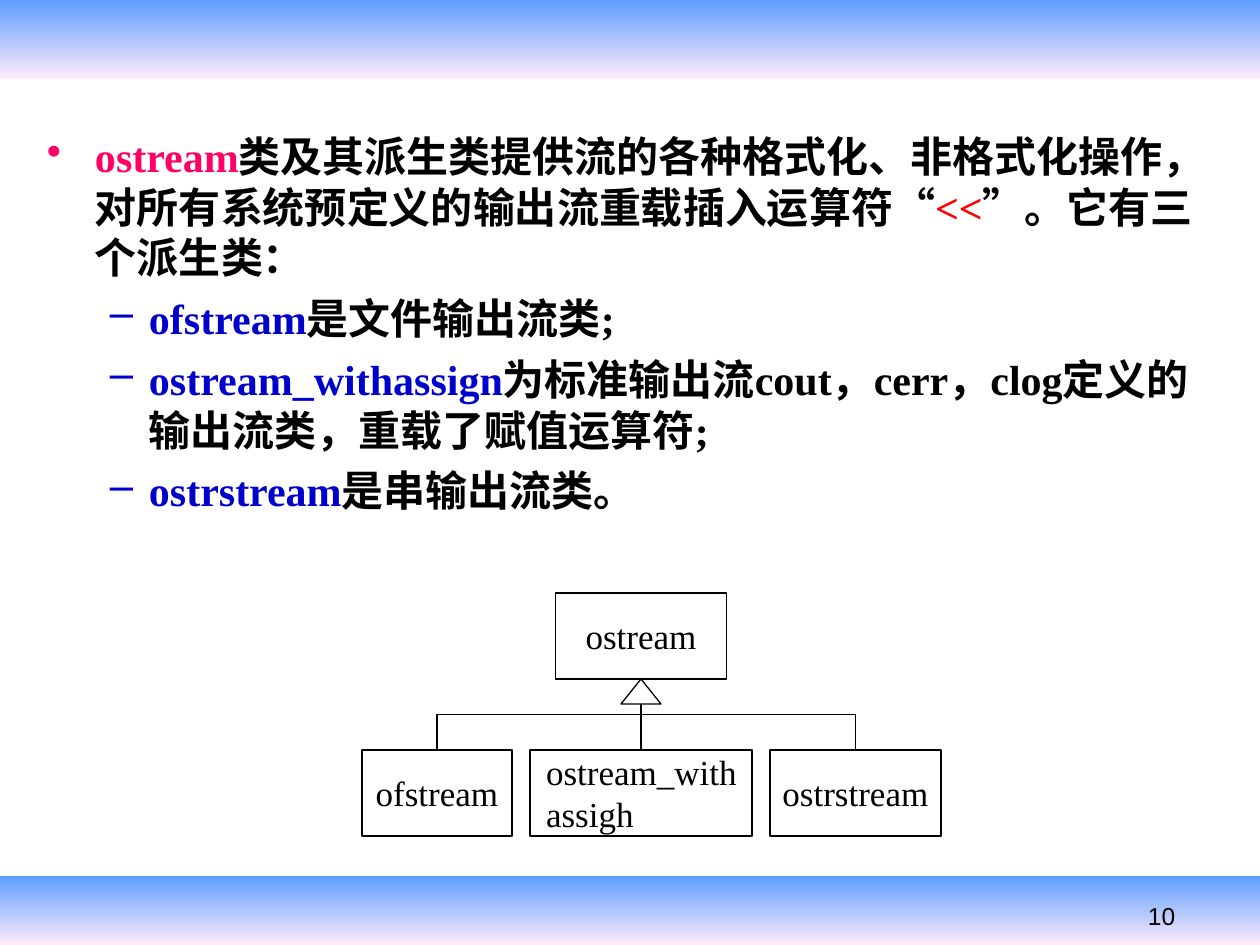
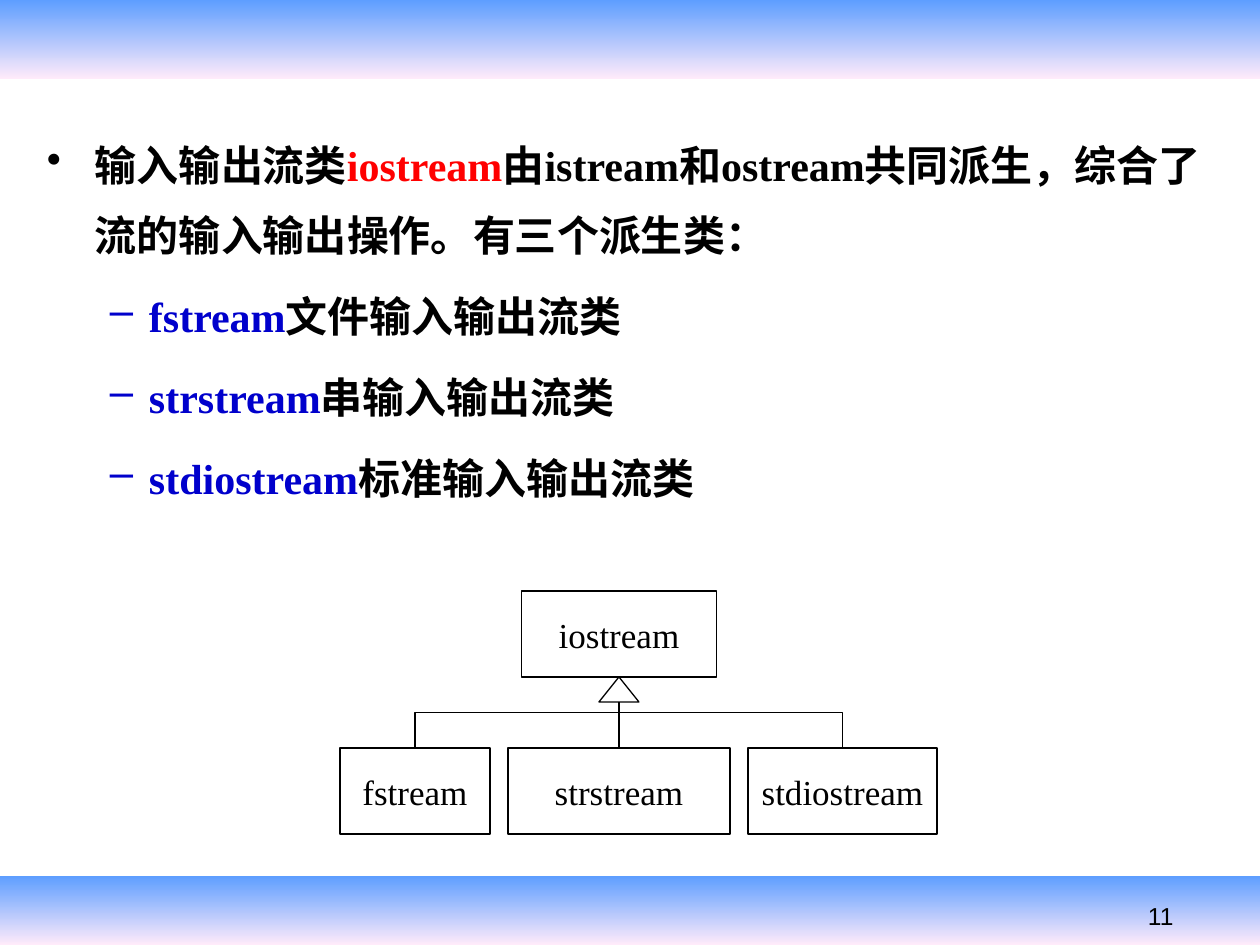
from lxml import etree
from pptx import Presentation
from pptx.dml.color import RGBColor
from pptx.enum.shapes import MSO_CONNECTOR, MSO_SHAPE
from pptx.enum.text import MSO_ANCHOR, PP_ALIGN
from pptx.oxml.ns import qn
from pptx.util import Emu, Pt

RECTANGLE = MSO_SHAPE.RECTANGLE
TRIANGLE = MSO_SHAPE.ISOSCELES_TRIANGLE
ELBOW = MSO_CONNECTOR.ELBOW
LEFT, CENTER = PP_ALIGN.LEFT, PP_ALIGN.CENTER
MIDDLE = MSO_ANCHOR.MIDDLE

PAGE_WIDTH, PAGE_HEIGHT = 1260, 945
SERIF, SANS = "Times New Roman", "Arial"
BLACK, WHITE, RED = "000000", "FFFFFF", "FF0000"
PINK, BLUE = "FF0066", "0000CC"
BAND_TOP, BAND_BOTTOM = "5E9EFF", "FFEBFA"
CLASS_HEIGHT, ROW_STEP, CLASS_GAP = 86, 157, 18


def px(length):
    return Emu(round(length * 914400 / 126))


def color(value):
    return RGBColor.from_string(value)


def add_span(para, text, font=SERIF, size=24, fill=BLACK, bold=False):
    span = para.add_run()
    span.text = text
    span.font.name = font
    span.font.size = Pt(size)
    span.font.bold = bold
    span.font.color.rgb = color(fill)


def set_margins(frame, left=13, right=13):
    frame.word_wrap = True
    frame.margin_left, frame.margin_right = px(left), px(right)
    frame.margin_top = frame.margin_bottom = px(6)


def add_box(page, kind, left, top, width, height):
    box = page.shapes.add_shape(kind, px(left), px(top), px(width), px(height))
    box.shadow.inherit = False
    box.fill.solid()
    box.fill.fore_color.rgb = color(WHITE)
    box.line.color.rgb = color(BLACK)
    box.line.width = Pt(0.75)
    return box


def add_text_frame(page, left, top, width, height):
    frame = page.shapes.add_textbox(px(left), px(top), px(width), px(height)).text_frame
    set_margins(frame)
    return frame


def add_band(page, top, height):
    band = add_box(page, RECTANGLE, 0, top, PAGE_WIDTH, height)
    band.line.fill.background()
    band.fill.gradient()
    band.fill.gradient_angle = 270
    for stop, value in zip(band.fill.gradient_stops, (BAND_TOP, BAND_BOTTOM)):
        stop.color.rgb = color(value)


def add_page(deck, number):
    page = deck.slides.add_slide(deck.slide_layouts[6])
    add_band(page, 0, 79)
    add_band(page, 876, 69)
    frame = add_text_frame(page, 1135, 895, 125, 42)
    add_span(frame.paragraphs[0], number, font=SANS, size=14)
    return page


def add_bullet(para, symbol, fill, left, hanging):
    properties = para._p.get_or_add_pPr()
    properties.set("marL", str(px(left)))
    properties.set("indent", str(-px(hanging)))
    tint = etree.SubElement(properties, qn("a:buClr"))
    etree.SubElement(tint, qn("a:srgbClr")).set("val", fill)
    etree.SubElement(properties, qn("a:buChar")).set("char", symbol)


def add_points(page, top, intro, derived, bullet_fill, line_spacing):
    frame = add_text_frame(page, 34, top, 1191, 404)
    para = frame.paragraphs[0]
    add_bullet(para, "•", bullet_fill, 48, 48)
    para.line_spacing = line_spacing
    for text, style in intro:
        add_span(para, text, bold=True, **style)
    for name, meaning in derived:
        para = frame.add_paragraph()
        para.level = 1
        add_bullet(para, "–", BLUE, 102, 39)
        para.space_before = Pt(6)
        para.line_spacing = line_spacing
        add_span(para, name, fill=BLUE, bold=True)
        add_span(para, meaning, bold=True)


def add_class(page, name, left, top, width):
    box = add_box(page, RECTANGLE, left, top, width, CLASS_HEIGHT)
    frame = box.text_frame
    wraps = " " in name
    set_margins(frame, left=16 if wraps else 6, right=6)
    frame.vertical_anchor = MIDDLE
    frame.paragraphs[0].alignment = LEFT if wraps else CENTER
    add_span(frame.paragraphs[0], name, size=20)


def add_inheritance(page, child_x, child_y, parent_x, parent_y):
    rise, run = child_y - parent_y, parent_x - child_x
    left = (child_x + parent_x - rise) / 2
    middle = (child_y + parent_y) / 2
    link = page.shapes.add_connector(
        ELBOW, px(left), px(middle - run / 2), px(left + rise), px(middle + run / 2))
    link.line.color.rgb = color(BLACK)
    link.line.width = Pt(0.75)
    properties = link._element.spPr
    properties.find(qn("a:xfrm")).set("rot", str(270 * 60000))
    outline = properties.find(qn("a:ln"))
    etree.SubElement(outline, qn("a:tailEnd")).set("type", "triangle")
    etree.SubElement(properties, qn("a:effectLst"))


def add_class_tree(page, left, top, parent, parent_width, children):
    child_top = top + ROW_STEP
    centers = []
    for name, width in children:
        add_class(page, name, left, child_top, width)
        centers.append(left + width / 2)
        left += width + CLASS_GAP
    trunk = centers[1]
    add_class(page, parent, trunk - parent_width / 2, top, parent_width)
    for center in centers:
        add_inheritance(page, center, child_top, trunk, top + CLASS_HEIGHT)
    add_box(page, TRIANGLE, trunk - 20, top + CLASS_HEIGHT, 40, 25)


def build_output_page(deck):
    page = add_page(deck, "10")
    add_class_tree(page, 362, 593, "ostream", 171, [
        ("ofstream", 150), ("ostream_with assigh", 222), ("ostrstream", 171)])
    intro = [
        ("ostream", {"fill": PINK}),
        ("类及其派生类提供流的各种格式化、非格式化操作，对所有系统预定义的输出流重载插入运算符", {}),
        ("“", {"font": SANS}),
        ("<<", {"fill": RED}),
        ("”", {"font": SANS}),
        ("。它有三个派生类：", {}),
    ]
    derived = [
        ("ofstream", "是文件输出流类;"),
        ("ostream_withassign", "为标准输出流cout，cerr，clog定义的输出流类，重载了赋值运算符;"),
        ("ostrstream", "是串输出流类。"),
    ]
    add_points(page, 125, intro, derived, PINK, 1.0)


def build_input_output_page(deck):
    page = add_page(deck, "11")
    add_class_tree(page, 340, 591, "iostream", 195, [
        ("fstream", 150), ("strstream", 222), ("stdiostream", 189)])
    intro = [
        ("输入输出流类", {}),
        ("iostream", {"fill": RED}),
        ("由istream和ostream共同派生，综合了流的输入输出操作。有三个派生类：", {}),
    ]
    derived = [
        ("fstream", "文件输入输出流类"),
        ("strstream", "串输入输出流类"),
        ("stdiostream", "标准输入输出流类"),
    ]
    add_points(page, 113, intro, derived, BLACK, 1.4)


def main():
    deck = Presentation()
    deck.slide_width, deck.slide_height = px(PAGE_WIDTH), px(PAGE_HEIGHT)
    build_output_page(deck)
    build_input_output_page(deck)
    deck.save("out.pptx")


if __name__ == "__main__":
    main()
